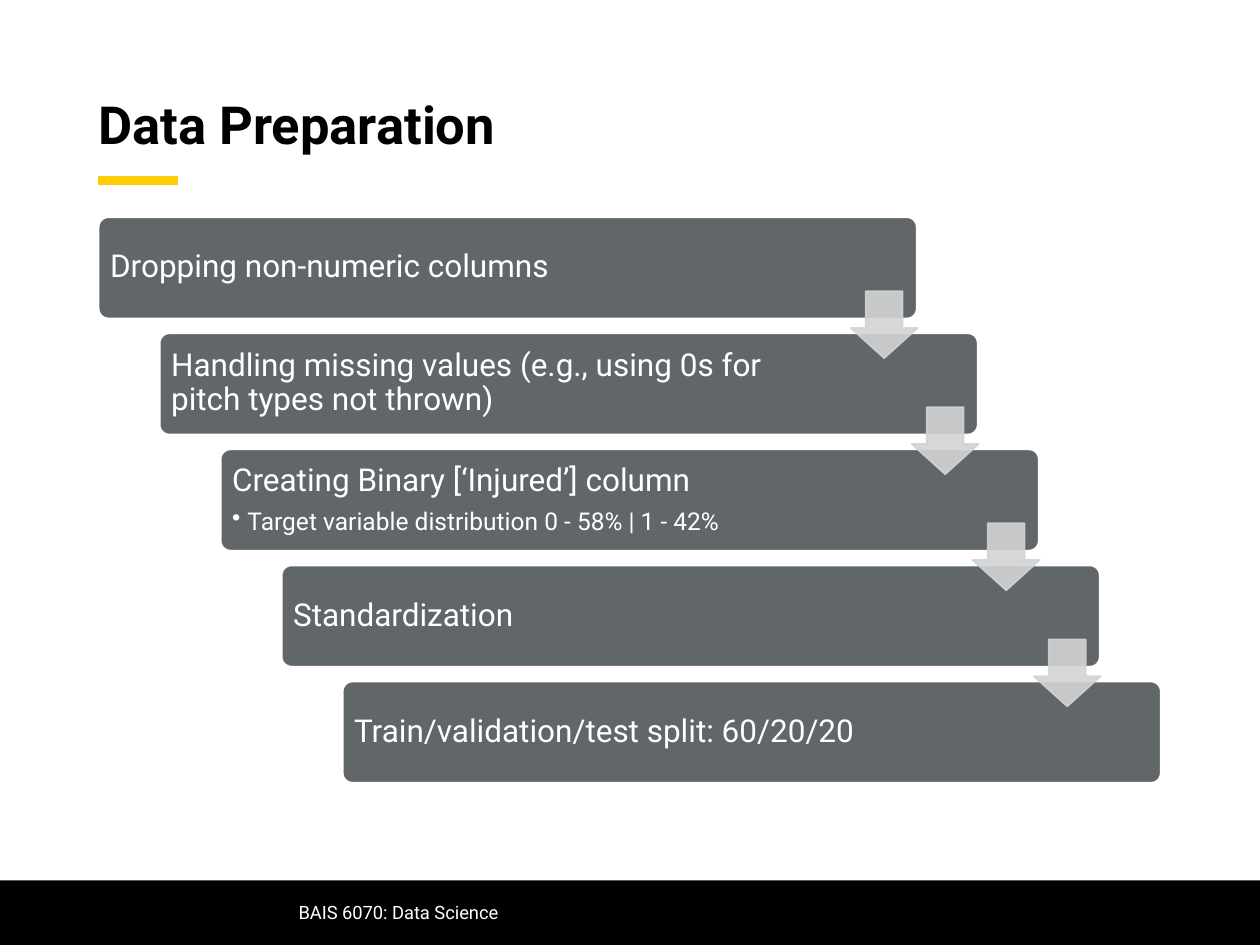
from dataclasses import dataclass

from lxml.etree import SubElement
from pptx import Presentation
from pptx.dml.color import RGBColor
from pptx.enum.shapes import MSO_CONNECTOR as Connector, MSO_SHAPE as Shape
from pptx.enum.text import MSO_ANCHOR as Anchor, PP_ALIGN as Align
from pptx.oxml.ns import qn
from pptx.util import Cm, Pt


@dataclass(frozen=True)
class Theme:
    font: str = "Roboto"
    white: str = "FFFFFF"
    black: str = "000000"
    gold: str = "FFCD00"
    slate: str = "616669"
    silver: str = "D2D3D4"
    title: float = 30
    step: float = 18
    detail: float = 14
    footer: float = 10.5


@dataclass(frozen=True)
class Box:
    """Left, top, width and height in centimetres."""
    x: float
    y: float
    w: float
    h: float

    def shifted(self, n: int) -> "Box":
        """The same box n steps down the staircase."""
        return Box(self.x + n * STEP_X, self.y + n * STEP_Y, self.w, self.h)

    def lengths(self) -> tuple[Cm, ...]:
        return Cm(self.x), Cm(self.y), Cm(self.w), Cm(self.h)


@dataclass(frozen=True)
class Step:
    text: str
    detail: str = ""


THEME = Theme()
STEP_X, STEP_Y = 1.23, 2.34
CARD = Box(1.98, 4.37, 16.51, 2.06)
LABEL = Box(2.04, 4.43, 13.82, 1.93)
ARROW = Box(17.15, 5.87, 1.35, 1.35)
STEPS = [
    Step("Dropping non-numeric columns"),
    Step("Handling missing values (e.g., using 0s for pitch types not thrown)"),
    Step("Creating Binary [‘Injured’] column",
         "Target variable distribution 0 - 58% | 1 - 42%"),
    Step("Standardization"),
    Step("Train/validation/test split: 60/20/20"),
]


def rgb(color: str) -> RGBColor:
    return RGBColor.from_string(color)


def add_shape(s, kind, box: Box, fill: str, line: str = "", width: float = 0):
    sp = s.shapes.add_shape(kind, *box.lengths())
    sp.shadow.inherit = False
    sp.fill.solid()
    sp.fill.fore_color.rgb = rgb(fill)
    if line:
        sp.line.color.rgb = rgb(line)
        sp.line.width = Pt(width)
    else:
        sp.line.fill.background()
    return sp


def add_text_frame(s, box: Box, inset_x: float, inset_y: float):
    tf = s.shapes.add_textbox(*box.lengths()).text_frame
    tf.word_wrap = True
    tf.vertical_anchor = Anchor.MIDDLE
    tf.margin_left = tf.margin_right = Cm(inset_x)
    tf.margin_top = tf.margin_bottom = Cm(inset_y)
    return tf


def write(p, text: str, size: float, color: str, bold: bool = False,
          spacing: float = 0.9) -> None:
    p.text = text
    p.alignment = Align.LEFT
    p.line_spacing = spacing
    p.font.name = THEME.font
    p.font.size = Pt(size)
    p.font.bold = bold
    p.font.color.rgb = rgb(color)


def add_bullet(p, indent: float) -> None:
    pPr = p._p.get_or_add_pPr()
    pPr.set("marL", str(Cm(indent)))
    pPr.set("indent", str(-Cm(indent)))
    bullet = pPr.makeelement(qn("a:buChar"), {"char": "•"})
    pPr.insert_element_before(bullet, "a:tabLst", "a:defRPr", "a:extLst")


def add_step(s, n: int, step: Step) -> None:
    card = add_shape(s, Shape.ROUNDED_RECTANGLE, CARD.shifted(n),
                     THEME.slate, THEME.white, 1.5)
    card.adjustments[0] = 0.1
    tf = add_text_frame(s, LABEL.shifted(n), 0.18, 0.18)
    write(tf.paragraphs[0], step.text, THEME.step, THEME.white)
    if step.detail:
        p = tf.add_paragraph()
        write(p, step.detail, THEME.detail, THEME.white)
        p.space_before = Pt(6.3)
        add_bullet(p, 0.31)


def add_arrow(s, n: int) -> None:
    arrow = add_shape(s, Shape.DOWN_ARROW, ARROW.shifted(n),
                      THEME.silver, THEME.silver, 1)
    arrow.adjustments[0] = 0.55
    arrow.adjustments[1] = 0.45
    for color in arrow._element.spPr.iter(qn("a:srgbClr")):
        SubElement(color, qn("a:alpha"), val="90000")


def add_accent(s) -> None:
    line = s.shapes.add_connector(Connector.STRAIGHT, Cm(1.98), Cm(3.64),
                                  Cm(3.58), Cm(3.64))
    line.line.color.rgb = rgb(THEME.gold)
    line.line.width = Pt(5)
    SubElement(line._element.spPr, qn("a:effectLst"))


def main() -> None:
    prs = Presentation()
    prs.slide_width, prs.slide_height = Cm(25.4), Cm(19.05)
    s = prs.slides.add_slide(prs.slide_layouts[6])

    add_accent(s)
    add_shape(s, Shape.RECTANGLE, Box(0, 17.75, 25.4, 1.3), THEME.black)
    title = add_text_frame(s, Box(1.98, 1.37, 21.44, 2.41), 0, 0)
    write(title.paragraphs[0], "Data Preparation", THEME.title, THEME.black,
          bold=True)
    footer = add_text_frame(s, Box(5.77, 17.88, 18.08, 1.02), 0.25, 0.13)
    write(footer.paragraphs[0], "BAIS 6070: Data Science", THEME.footer,
          THEME.white, spacing=1.0)

    for n, step in enumerate(STEPS):
        add_step(s, n, step)
    for n in range(len(STEPS) - 1):
        add_arrow(s, n)

    prs.save("out.pptx")


if __name__ == "__main__":
    main()
